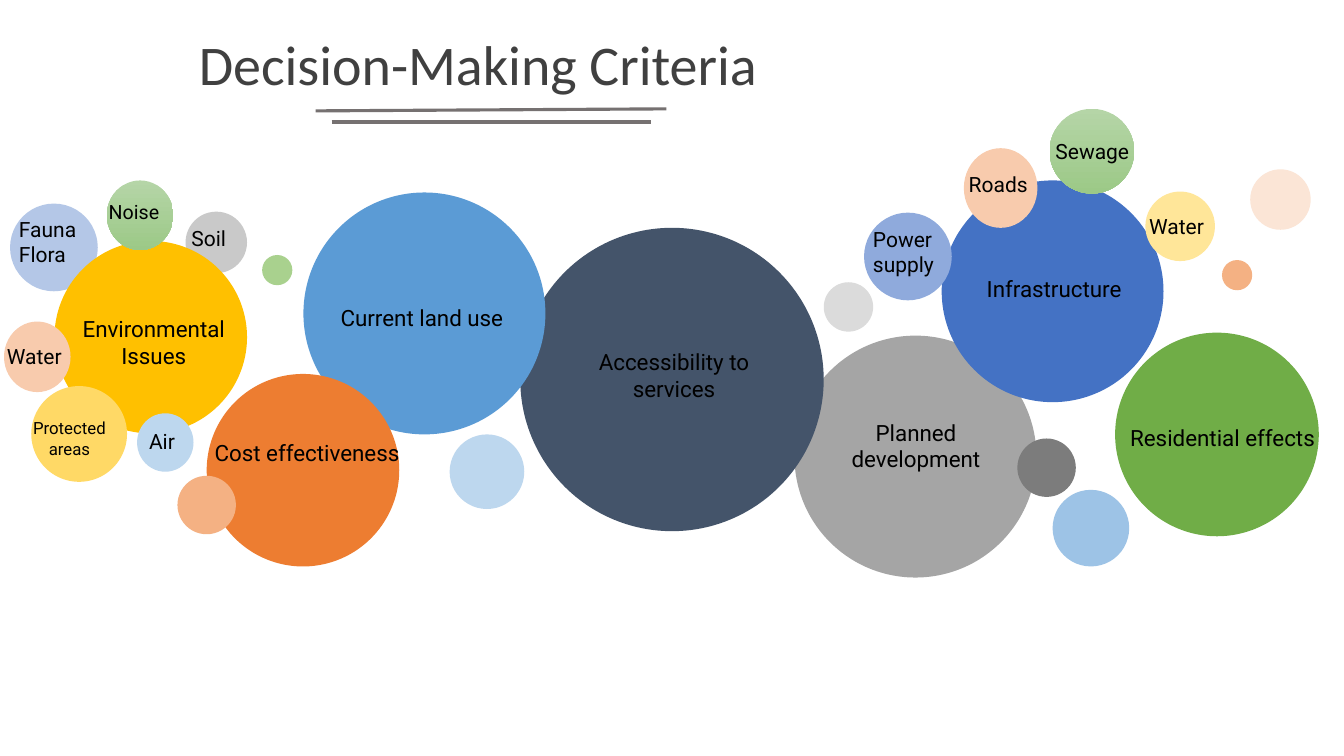
"""Build the decision-making criteria bubble slide."""
from dataclasses import dataclass

from lxml.etree import SubElement
from pptx import Presentation
from pptx.dml.color import RGBColor
from pptx.enum.shapes import MSO_CONNECTOR, MSO_SHAPE
from pptx.enum.text import MSO_ANCHOR, MSO_AUTO_SIZE, PP_ALIGN
from pptx.oxml.ns import qn
from pptx.util import Inches, Pt


@dataclass(frozen=True)
class Theme:
    """Fonts, sizes and colours."""
    title_font: str = "Calibri"
    font: str = "Roboto"
    title: int = 40
    criterion: int = 16
    factor: int = 15
    noise: int = 14
    small: int = 12
    ink: str = "000000"
    heading: str = "404040"
    rule: str = "767171"
    slate: str = "44546A"
    blue: str = "5B9BD5"
    royal: str = "4472C4"
    orange: str = "ED7D31"
    gold: str = "FFC000"
    green: str = "70AD47"
    gray: str = "A5A5A5"
    mid_gray: str = "C9C9C9"
    pale_gray: str = "DBDBDB"
    dark_gray: str = "7C7C7C"
    periwinkle: str = "B4C7E7"
    cornflower: str = "8FAADC"
    sky: str = "9DC3E6"
    pale_blue: str = "BDD7EE"
    yellow: str = "FFD966"
    pale_yellow: str = "FFE699"
    apricot: str = "F4B183"
    peach: str = "F8CBAD"
    blush: str = "FBE5D6"
    light_green: str = "A9D18E"
    leaf: tuple = ("B5D5A7", "9CC987")


T = Theme()
TITLE = "Decision-Making Criteria"
UNDERLINES = [(3.13, 1.1, 6.61, 1.08), (3.29, 1.21, 6.46, 1.21)]

# left, top, width, height, fill
BUBBLES = [
    (7.88, 3.33, 2.4, 2.4, T.gray),
    (1.84, 2.1, 0.61, 0.61, T.mid_gray),
    (0.1, 2.02, 0.87, 0.87, T.periwinkle),
    (5.16, 2.26, 3.01, 3.01, T.slate),
    (3.01, 1.91, 2.4, 2.4, T.blue),
    (2.05, 3.71, 1.91, 1.91, T.orange),
    (0.54, 2.39, 1.91, 1.91, T.gold),
    (11.06, 3.3, 2.02, 2.02, T.green),
    (9.34, 1.79, 2.2, 2.2, T.royal),
    (0.31, 3.83, 0.95, 0.95, T.yellow),
    (4.46, 4.31, 0.74, 0.74, T.pale_blue),
    (8.57, 2.11, 0.87, 0.87, T.cornflower),
    (12.12, 2.58, 0.3, 0.3, T.apricot),
    (12.4, 1.68, 0.6, 0.6, T.blush),
    (10.44, 4.86, 0.76, 0.76, T.sky),
    (11.36, 1.9, 0.69, 0.69, T.pale_yellow),
    (8.17, 2.8, 0.49, 0.49, T.pale_gray),
    (2.6, 2.53, 0.3, 0.3, T.light_green),
    (10.09, 4.35, 0.58, 0.58, T.dark_gray),
    (1.76, 4.72, 0.58, 0.58, T.apricot),
    (1.06, 1.79, 0.66, 0.69, T.leaf),
    (1.36, 4.1, 0.56, 0.58, T.pale_blue),
    (0.04, 3.19, 0.66, 0.7, T.peach),
    (10.41, 1.08, 0.84, 0.84, T.leaf),
    (9.56, 1.47, 0.73, 0.79, T.peach),
]

CRITERION_SIZE = (2.11, 0.56)
CRITERIA = [
    ("Environmental Issues", 0.47, 3.11),
    ("Cost effectiveness", 1.99, 4.21),
    ("Current land use", 3.13, 2.87),
    ("Accessibility to services", 5.63, 3.44),
    ("Planned development", 8.03, 4.14),
    ("Infrastructure", 9.4, 2.58),
    ("Residential effects", 11.07, 4.06),
]

# lines, left, top, width, height, type size
FACTORS = [
    (["Fauna", "Flora"], 0.09, 2.1, 0.83, 0.61, T.factor),
    (["Noise"], 0.98, 1.93, 0.8, 0.34, T.noise),
    (["Soil"], 1.8, 2.19, 0.71, 0.35, T.factor),
    (["Water"], -0.03, 3.36, 0.83, 0.35, T.factor),
    (["Protected", "areas"], 0.23, 4.1, 1.12, 0.5, T.small),
    (["Air"], 1.38, 4.2, 0.58, 0.35, T.factor),
    (["Power", "supply"], 8.56, 2.2, 0.96, 0.61, T.factor),
    (["Roads"], 9.51, 1.65, 0.83, 0.35, T.factor),
    (["Sewage"], 10.37, 1.32, 0.96, 0.35, T.factor),
    (["Water"], 11.3, 2.07, 0.83, 0.35, T.factor),
]
CENTERED = {"areas"}


def write(tf, lines, size, font=T.font, color=T.ink, align=PP_ALIGN.LEFT,
          anchor=MSO_ANCHOR.TOP, wrap=True, fit=MSO_AUTO_SIZE.NONE, spacing=1.0):
    """Fill a text frame with formatted lines."""
    tf.word_wrap, tf.auto_size, tf.vertical_anchor = wrap, fit, anchor
    for i, line in enumerate(lines):
        p = tf.paragraphs[0] if i == 0 else tf.add_paragraph()
        p.alignment = PP_ALIGN.CENTER if line in CENTERED else align
        p.line_spacing = spacing
        r = p.add_run()
        r.text = line
        r.font.name, r.font.size = font, Pt(size)
        r.font.color.rgb = RGBColor.from_string(color)


def add_bubble(s, left, top, width, height, color):
    """Draw a borderless ellipse, solid or shaded downwards."""
    sp = s.shapes.add_shape(MSO_SHAPE.OVAL, *map(Inches, (left, top, width, height)))
    sp.shadow.inherit = False
    sp.line.fill.background()
    if isinstance(color, tuple):
        sp.fill.gradient()
        sp.fill.gradient_angle = 270
        for stop, shade, at in zip(sp.fill.gradient_stops, color, (0, 1)):
            stop.color.rgb = RGBColor.from_string(shade)
            stop.position = at
    else:
        sp.fill.solid()
        sp.fill.fore_color.rgb = RGBColor.from_string(color)


def add_underline(s, *ends):
    """Draw one stroke under the title."""
    line = s.shapes.add_connector(MSO_CONNECTOR.STRAIGHT, *map(Inches, ends))
    line.line.color.rgb = RGBColor.from_string(T.rule)
    line.line.width = Pt(2.25)
    SubElement(line._element.spPr, qn("a:effectLst"))


def main():
    """Assemble and save the slide."""
    prs = Presentation()
    prs.slide_width, prs.slide_height = Inches(13.33), Inches(7.5)
    s = prs.slides.add_slide(prs.slide_layouts[5])

    title = s.shapes.title
    title.left, title.top, title.width, title.height = map(Inches, (1.75, 0.28, 5.98, 0.78))
    write(title.text_frame, [TITLE], T.title, font=T.title_font, color=T.heading,
          align=PP_ALIGN.CENTER, anchor=MSO_ANCHOR.MIDDLE, spacing=0.9)
    for ends in UNDERLINES:
        add_underline(s, *ends)

    for bubble in BUBBLES:
        add_bubble(s, *bubble)
    for text, left, top in CRITERIA:
        box = s.shapes.add_textbox(*map(Inches, (left, top, *CRITERION_SIZE)))
        write(box.text_frame, [text], T.criterion, align=PP_ALIGN.CENTER,
              anchor=MSO_ANCHOR.MIDDLE)
    for lines, left, top, width, height, size in FACTORS:
        box = s.shapes.add_textbox(*map(Inches, (left, top, width, height)))
        write(box.text_frame, lines, size, wrap=False, fit=MSO_AUTO_SIZE.SHAPE_TO_FIT_TEXT)

    prs.save("out.pptx")


if __name__ == "__main__":
    main()
